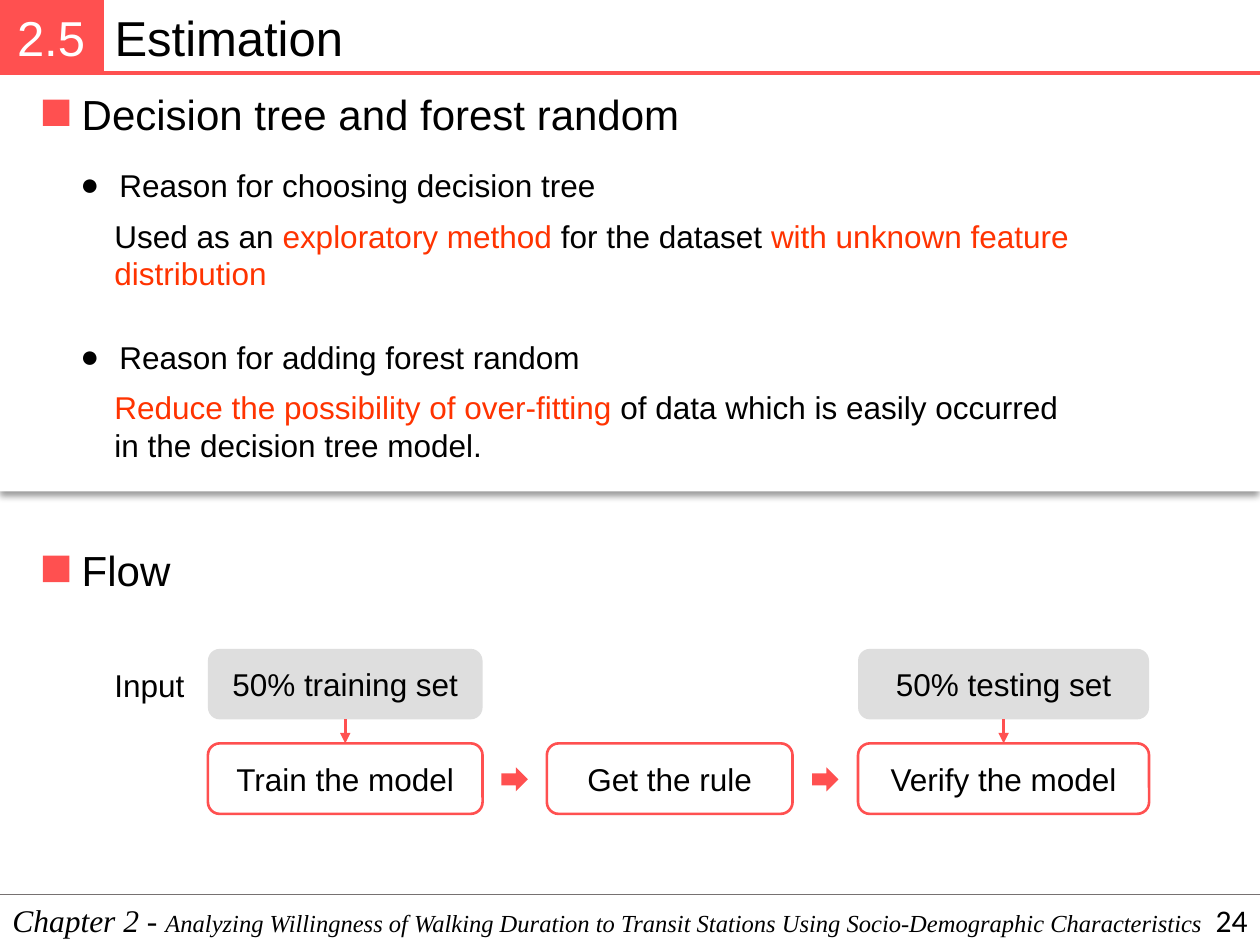
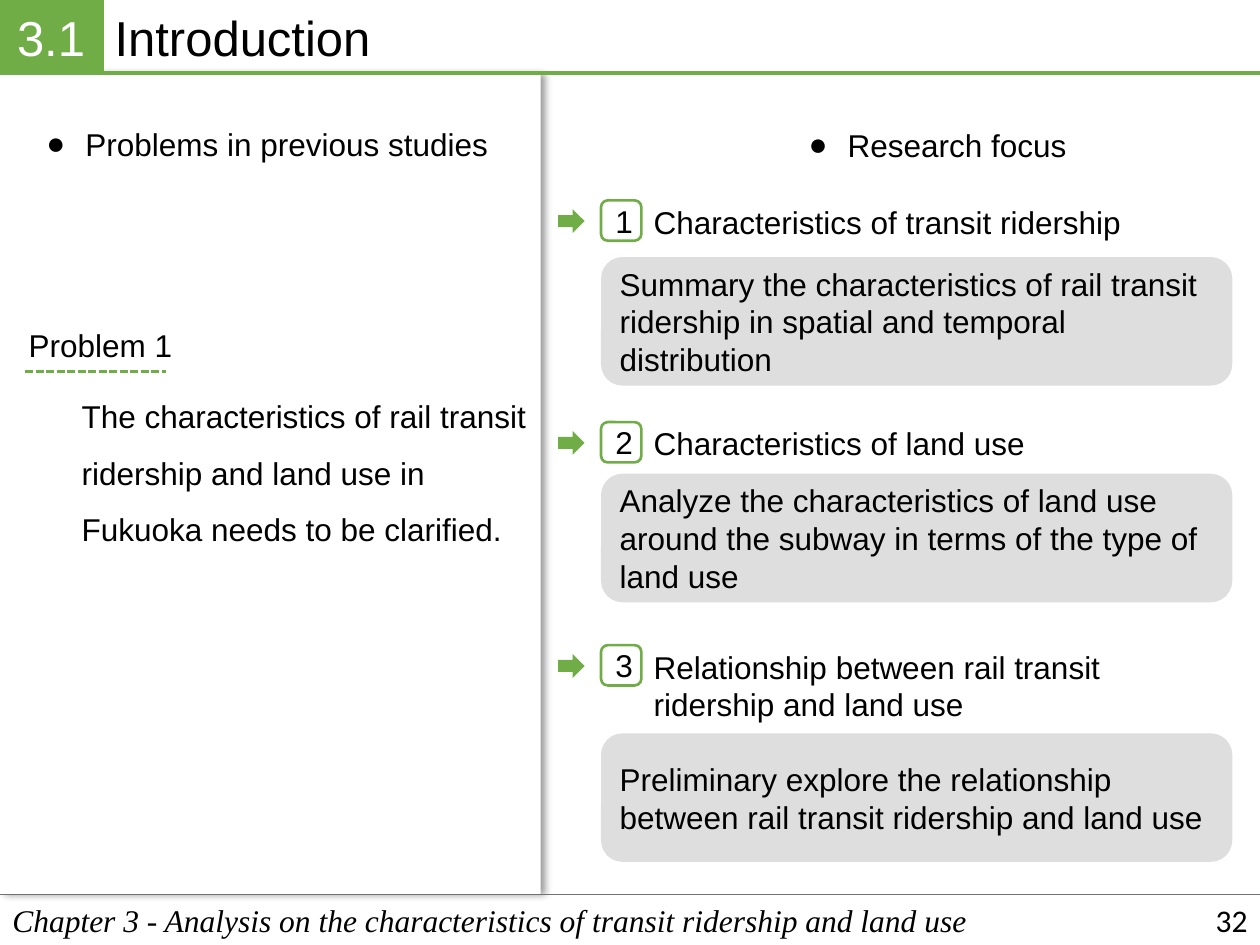
from dataclasses import dataclass
from typing import Optional

import lxml.etree
import pptx
import pptx.dml.color
import pptx.enum.dml
import pptx.enum.shapes
import pptx.enum.text
import pptx.oxml.ns
import pptx.shapes.autoshape
import pptx.shapes.connector
import pptx.slide
import pptx.text.text
import pptx.util

# Shared look
Inches, Pt = pptx.util.Inches, pptx.util.Pt
Color = pptx.dml.color.RGBColor
Slide = pptx.slide.Slide
Shape = pptx.shapes.autoshape.Shape
Wire = pptx.shapes.connector.Connector
Kind = pptx.enum.shapes.MSO_SHAPE
Align = pptx.enum.text.PP_ALIGN
Anchor = pptx.enum.text.MSO_ANCHOR
qn = pptx.oxml.ns.qn

BLACK = Color(0, 0, 0)
WHITE = Color(255, 255, 255)
GRAY = Color(0x7F, 0x7F, 0x7F)
RULE = Color(0x76, 0x71, 0x71)
CORAL = Color(0xFF, 0x50, 0x50)
GREEN = Color(0x70, 0xAD, 0x47)
RED = Color(0xFF, 0x33, 0x00)
SANS, SERIF, DIGIT = "Arial", "Times New Roman", "Calibri"
BAND = 0.58
FOOT = 7.1
HANG = 0.31


@dataclass(frozen=True)
class Box:
    left: float
    top: float
    width: float
    height: float


@dataclass(frozen=True)
class Run:
    text: str
    color: Optional[Color] = None
    size: Optional[float] = None


@dataclass(frozen=True)
class Type:
    size: float = 18
    color: Color = BLACK
    name: str = SANS
    slant: bool = False
    align: Align = Align.LEFT
    space: Optional[float] = None
    bullet: bool = False


@dataclass(frozen=True)
class Page:
    mark: str
    title: str
    foot: tuple[Run, ...]
    number: str
    hue: Color
    panel: Box
    angle: int


@dataclass(frozen=True)
class Focus:
    top: float
    title: str
    height: float
    note: str
    drop: float


BODY = Type()
MID = Type(align=Align.CENTER)
POINT = Type(bullet=True)


# Text
def write(frame: pptx.text.text.TextFrame, runs: tuple[Run, ...], kind: Type) -> None:
    frame.word_wrap = True
    para = frame.paragraphs[0]
    if kind.bullet:
        prop = para._p.get_or_add_pPr()
        prop.set("marL", str(Inches(HANG)))
        prop.set("indent", str(-Inches(HANG)))
        lxml.etree.SubElement(prop, qn("a:buFont"), typeface=SANS)
        lxml.etree.SubElement(prop, qn("a:buChar"), char="●")
    para.alignment = kind.align
    if kind.space:
        para.line_spacing = kind.space
    font = para.font
    font.name, font.size, font.italic = kind.name, Pt(kind.size), kind.slant
    font.color.rgb = kind.color
    for item in runs:
        run = para.add_run()
        run.text = item.text
        if item.color is not None:
            run.font.color.rgb = item.color
        if item.size is not None:
            run.font.size = Pt(item.size)


def place(shape: Shape, box: Box) -> None:
    shape.left, shape.top = Inches(box.left), Inches(box.top)
    shape.width, shape.height = Inches(box.width), Inches(box.height)


def label(slide: Slide, box: Box, *runs: Run, kind: Type = BODY,
          anchor: Anchor = Anchor.TOP) -> None:
    area = slide.shapes.add_textbox(0, 0, 0, 0)
    place(area, box)
    area.text_frame.vertical_anchor = anchor
    write(area.text_frame, runs, kind)


# Shapes and lines
def draw(slide: Slide, form: Kind, box: Box, fill: Optional[Color] = None,
         line: Optional[Color] = None, weight: float = 1.5,
         text: str = "", kind: Type = MID) -> Shape:
    shape = slide.shapes.add_shape(form, 0, 0, 0, 0)
    place(shape, box)
    shape.shadow.inherit = False
    if fill is None:
        shape.fill.background()
    else:
        shape.fill.solid()
        shape.fill.fore_color.rgb = fill
    if line is None:
        shape.line.fill.background()
    else:
        shape.line.color.rgb = line
        shape.line.width = Pt(weight)
    if text:
        shape.text_frame.vertical_anchor = Anchor.MIDDLE
        write(shape.text_frame, (Run(text),), kind)
    return shape


def tint(slide: Slide, box: Box, text: str, kind: Type) -> Shape:
    shape = draw(slide, Kind.ROUNDED_RECTANGLE, box, GRAY, text=text, kind=kind)
    shade = shape._element.spPr.find(".//" + qn("a:srgbClr"))
    lxml.etree.SubElement(shade, qn("a:alpha"), val="25000")
    return shape


def frame(slide: Slide, box: Box, hue: Color, text: str) -> Shape:
    return draw(slide, Kind.ROUNDED_RECTANGLE, box, line=hue, text=text)


def arrow(slide: Slide, left: float, top: float, hue: Color) -> None:
    draw(slide, Kind.RIGHT_ARROW, Box(left, top, 0.21, 0.19), hue)


def stroke(slide: Slide, left: float, right: float, top: float,
           hue: Color, weight: float) -> Wire:
    wire = slide.shapes.add_connector(
        pptx.enum.shapes.MSO_CONNECTOR.STRAIGHT,
        Inches(left), Inches(top), Inches(right), Inches(top))
    wire.line.color.rgb = hue
    wire.line.width = Pt(weight)
    lxml.etree.SubElement(wire._element.spPr, qn("a:effectLst"))
    return wire


def link(slide: Slide, start: Shape, end: Shape, hue: Color) -> None:
    wire = stroke(slide, 0, 0, 0, hue, 1.5)
    wire.begin_connect(start, 2)
    wire.end_connect(end, 0)
    lxml.etree.SubElement(wire.line._get_or_add_ln(), qn("a:tailEnd"), type="triangle")


def panel(slide: Slide, box: Box, angle: int) -> None:
    shape = draw(slide, Kind.RECTANGLE, box, WHITE)
    effects = shape._element.spPr.find(qn("a:effectLst"))
    cast = lxml.etree.SubElement(
        effects, qn("a:outerShdw"), blurRad=str(Pt(4)), dist=str(Pt(3)),
        dir=str(angle * 60000), algn="t" if angle else "l", rotWithShape="0")
    shade = lxml.etree.SubElement(cast, qn("a:srgbClr"), val=str(BLACK))
    lxml.etree.SubElement(shade, qn("a:alpha"), val="40000")


# Band, title and footer of every slide
def begin(deck: pptx.presentation.Presentation, page: Page) -> Slide:
    slide = deck.slides.add_slide(deck.slide_layouts[5])
    panel(slide, page.panel, page.angle)
    title = slide.shapes.title
    place(title, Box(0.81, 0.01, 9.19, 0.57))
    title.text_frame.vertical_anchor = Anchor.TOP
    title.text_frame.auto_size = pptx.enum.text.MSO_AUTO_SIZE.NONE
    write(title.text_frame, (Run(page.title),), Type(28))
    mark = draw(slide, Kind.RECTANGLE, Box(0, 0, 0.81, BAND), page.hue, page.hue,
                2.25, page.mark, Type(28, WHITE, align=Align.CENTER))
    text = mark.text_frame
    text.margin_left = text.margin_right = Inches(0.06)
    text.margin_top = text.margin_bottom = Inches(0.06)
    stroke(slide, 0.81, 10, BAND, page.hue, 2.25)
    label(slide, Box(0, FOOT, 10, 0.4), *page.foot, kind=Type(name=SERIF, slant=True))
    stroke(slide, 0, 10, FOOT, RULE, 1)
    label(slide, Box(7.75, FOOT, 2.25, 0.4), Run(page.number),
          kind=Type(name=DIGIT, align=Align.RIGHT), anchor=Anchor.MIDDLE)
    return slide


def head(slide: Slide, top: float, text: str) -> None:
    draw(slide, Kind.RECTANGLE, Box(0.34, top + 0.14, 0.21, 0.21), CORAL)
    label(slide, Box(0.55, top, 4.99, 0.5), Run(text), kind=Type(24))


# Slide: decision tree and its flow
def tree(deck: pptx.presentation.Presentation) -> None:
    foot = (Run("Chapter 2 - "),
            Run("Analyzing Willingness of Walking Duration to Transit Stations "
                "Using Socio-Demographic Characteristics", size=14))
    slide = begin(deck, Page("2.5", "Estimation", foot, "24", CORAL,
                             Box(0, 0.59, 10, 3.31), 90))
    head(slide, 0.65, "Decision tree and forest random")
    head(slide, 4.27, "Flow")

    points = (
        (1.27, "Reason for choosing decision tree",
         (Run("Used as an "), Run("exploratory method ", RED),
          Run("for the dataset "), Run("with unknown feature distribution", RED))),
        (2.63, "Reason for adding forest random",
         (Run("Reduce the possibility of over-fitting", RED),
          Run(" of data which is easily occurred in the decision tree model."))),
    )
    for top, reason, runs in points:
        label(slide, Box(0.54, top, 5, 0.4), Run(reason), kind=POINT)
        label(slide, Box(0.81, top + 0.4, 7.94, 0.71), *runs)

    label(slide, Box(0.81, 5.24, 0.8, 0.4), Run("Input"))
    steps = (
        (1.65, 2.18, "Train the model", "50% training set"),
        (4.34, 1.95, "Get the rule", ""),
        (6.81, 2.31, "Verify the model", "50% testing set"),
    )
    edge = None
    for left, width, text, feed in steps:
        step = frame(slide, Box(left, 5.9, width, 0.56), CORAL, text)
        if feed:
            data = tint(slide, Box(left, 5.15, width, 0.56), feed, MID)
            link(slide, data, step, CORAL)
        if edge is not None:
            arrow(slide, (edge + left - 0.21) / 2, 6.09, CORAL)
        edge = left + width


# Slide: problems and research focus
def intro(deck: pptx.presentation.Presentation) -> None:
    foot = (Run("Chapter 3 - Analysis on the characteristics of transit ridership "
                "and land use"),)
    slide = begin(deck, Page("3.1", "Introduction", foot, "32", GREEN,
                             Box(0, 0.59, 4.29, 6.51), 0))
    label(slide, Box(0.27, 0.94, 3.74, 0.4), Run("Problems in previous studies"), kind=POINT)
    label(slide, Box(6.32, 0.95, 2.27, 0.4), Run("Research focus"), kind=POINT)
    label(slide, Box(0.13, 2.54, 1.4, 0.4), Run("Problem 1"))
    dash = stroke(slide, 0.2, 1.32, 2.95, GREEN, 1.5)
    dash.line.dash_style = pptx.enum.dml.MSO_LINE.SQUARE_DOT
    label(slide, Box(0.55, 2.95, 3.74, 1.41),
          Run("The characteristics of rail transit ridership and land use in Fukuoka "
              "needs to be clarified."), kind=Type(space=1.5))

    items = (
        Focus(1.59, "Characteristics of transit ridership", 0.4,
              "Summary the characteristics of rail transit ridership in spatial "
              "and temporal distribution", 2.04),
        Focus(3.35, "Characteristics of land use", 0.4,
              "Analyze the characteristics of land use around the subway in terms "
              "of the type of land use", 3.76),
        Focus(5.12, "Relationship between rail transit ridership and land use", 0.71,
              "Preliminary explore the relationship between rail transit ridership "
              "and land use", 5.82),
    )
    for count, item in enumerate(items, 1):
        arrow(slide, 4.43, item.top + 0.07, GREEN)
        frame(slide, Box(4.77, item.top, 0.32, 0.32), GREEN, str(count))
        label(slide, Box(5.09, item.top - 0.03, 4.23, item.height), Run(item.title))
        tint(slide, Box(4.77, item.drop, 5.01, 1.02), item.note, BODY)


def main() -> None:
    deck = pptx.Presentation()
    deck.slide_width, deck.slide_height = Inches(10), Inches(7.5)
    tree(deck)
    intro(deck)
    deck.save("out.pptx")


if __name__ == "__main__":
    main()
